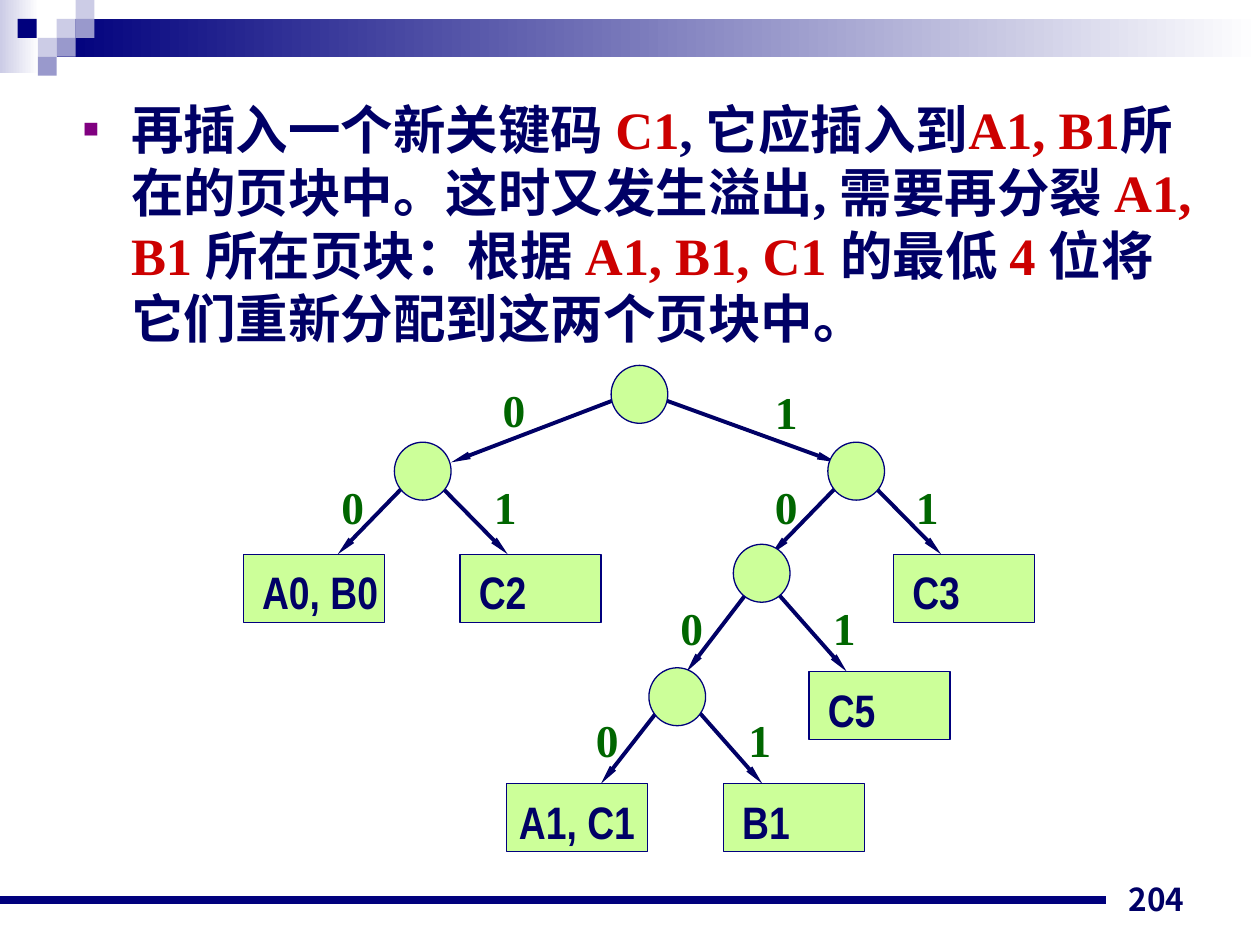
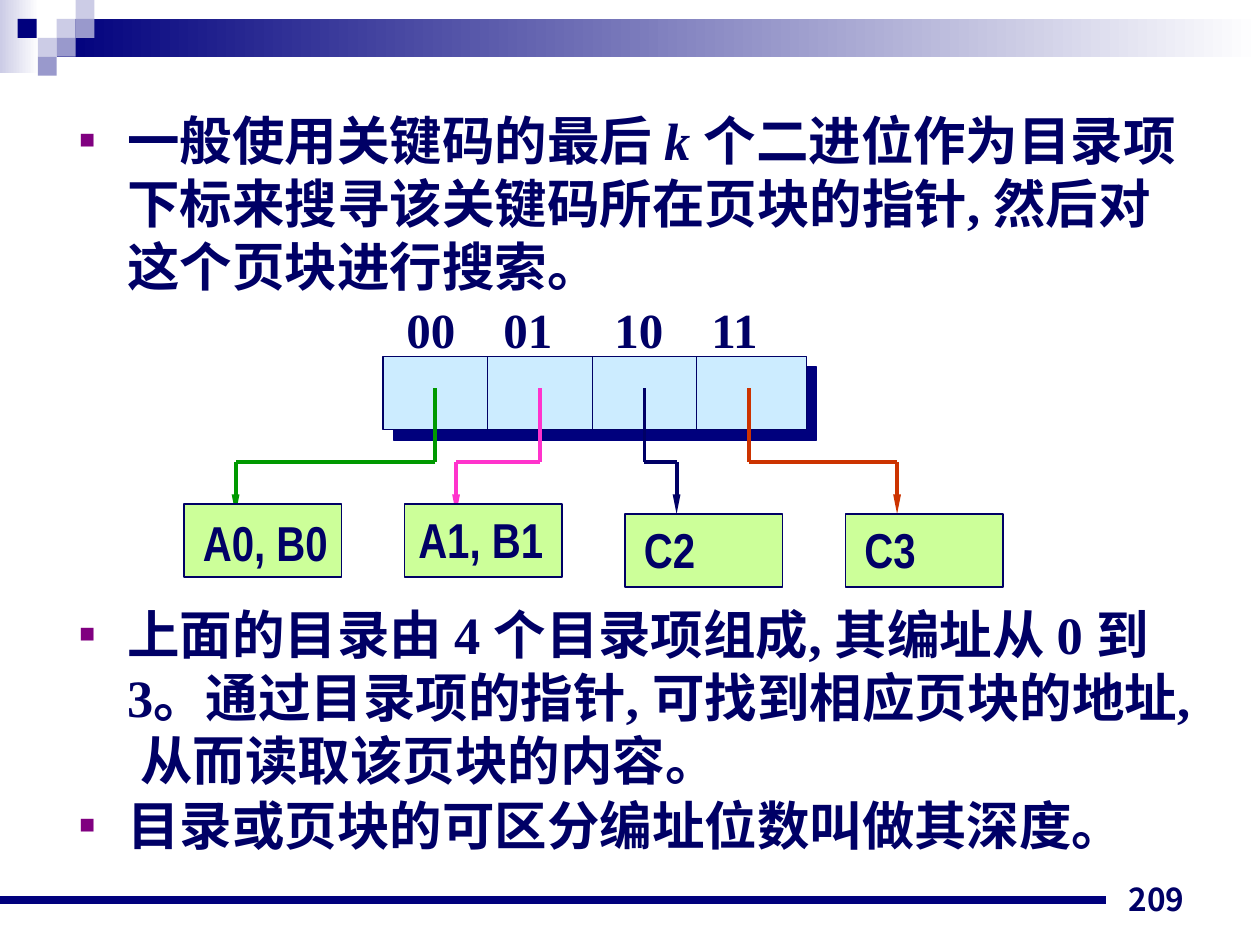
import lxml.etree
import pptx
import pptx.dml.color
import pptx.enum.shapes
import pptx.enum.text
import pptx.oxml.ns
import pptx.util

Inches = pptx.util.Inches
Pt = pptx.util.Pt
ALIGN = pptx.enum.text.PP_ALIGN
ANCHOR = pptx.enum.text.MSO_ANCHOR
SHAPE = pptx.enum.shapes.MSO_SHAPE

NAVY, INK, RED, GREEN = "00007D", "000066", "CC0000", "006600"
PALE, MIDDLE, WHITE = "CCCCE6", "9999CC", "FFFFFF"
LEAF, CELL, BULLET = "CCFF99", "CCECFF", "800080"
SERIF, NARROW, CJK = "Times New Roman", "Arial Narrow", "Noto Sans CJK JP"


def rgb(value):
    """Turn a hex string into a colour."""
    return pptx.dml.color.RGBColor.from_string(value)


def add_xml(parent, tag, **attributes):
    """Append a DrawingML element with the given attributes."""
    return lxml.etree.SubElement(parent, pptx.oxml.ns.qn(tag), attributes)


def write(paragraph, text, size=30, font=SERIF, color=INK, italic=False):
    """Append one bold formatted run to a paragraph."""
    run = paragraph.add_run()
    run.text = text
    run.font.size, run.font.bold, run.font.italic = Pt(size), True, italic
    run.font.color.rgb = rgb(color)
    run.font.name = font
    add_xml(run.font._element, "a:ea", typeface=CJK)


def add_label(slide, text, box, align=ALIGN.CENTER, anchor=ANCHOR.TOP, **style):
    """Add a one-line text box."""
    frame = slide.shapes.add_textbox(*map(Inches, box)).text_frame
    frame.word_wrap, frame.vertical_anchor = True, anchor
    frame.paragraphs[0].alignment = align
    write(frame.paragraphs[0], text, **style)


def add_box(slide, box, fill, line=None, kind=SHAPE.RECTANGLE):
    """Add a preset shape; two fill colours give a gradient from left to right."""
    shape = slide.shapes.add_shape(kind, *map(Inches, box))
    shape.shadow.inherit = False
    if isinstance(fill, tuple):
        shape.fill.gradient()
        shape.fill.gradient_angle = 0
        for stop, color in zip(shape.fill.gradient_stops, fill):
            stop.color.rgb = rgb(color)
    else:
        shape.fill.solid()
        shape.fill.fore_color.rgb = rgb(fill)
    if line:
        shape.line.color.rgb = rgb(line)
        shape.line.width = Pt(0.75)
    else:
        shape.line.fill.background()
    return shape


def add_line(slide, start, end, color=INK, width=2.25, arrow=False):
    """Add a straight line, with an arrowhead at its end if asked."""
    connector = slide.shapes.add_connector(
        pptx.enum.shapes.MSO_CONNECTOR.STRAIGHT, *map(Inches, (*start, *end)))
    connector.line.color.rgb = rgb(color)
    connector.line.width = Pt(width)
    if arrow:
        add_xml(connector.line._ln, "a:tailEnd", type="triangle", w="sm", len="lg")
    add_xml(connector._element.spPr, "a:effectLst")


def add_page(slide, text, box, line, size, indent=0.15, drop=0.08):
    """Add a page block with its keys at the left."""
    shape = add_box(slide, box, LEAF, line)
    frame = shape.text_frame
    frame.word_wrap, frame.vertical_anchor = True, ANCHOR.TOP
    frame.margin_left, frame.margin_top = Inches(indent), Inches(drop)
    frame.margin_right = frame.margin_bottom = 0
    frame.paragraphs[0].alignment = ALIGN.LEFT
    write(frame.paragraphs[0], text, size=size, font=NARROW)


def add_body(slide, box, items):
    """Fill the body placeholder with (space before, runs) bullet items."""
    body = slide.placeholders[1]
    body.left, body.top, body.width, body.height = map(Inches, box)
    frame = body.text_frame
    frame.auto_size = pptx.enum.text.MSO_AUTO_SIZE.NONE
    frame.vertical_anchor = ANCHOR.TOP
    frame.margin_top = Inches(0.09)
    for number, (space, runs) in enumerate(items):
        paragraph = frame.add_paragraph() if number else frame.paragraphs[0]
        paragraph.line_spacing, paragraph.space_before = Pt(36), Pt(space)
        properties = paragraph._p.get_or_add_pPr()
        properties.set("marL", str(Inches(0.38)))
        properties.set("indent", str(-Inches(0.38)))
        add_xml(add_xml(properties, "a:buClr"), "a:srgbClr", val=BULLET)
        add_xml(properties, "a:buSzPct", val="50000")
        add_xml(properties, "a:buFont", typeface=SERIF)
        add_xml(properties, "a:buChar", char="■")
        for text, style in runs:
            write(paragraph, text, **style)


def add_frame(presentation, number):
    """Add a slide with the top band, the mosaic, the bottom rule and its number."""
    slide = presentation.slides.add_slide(presentation.slide_layouts[1])
    title = slide.shapes.title._element
    title.getparent().remove(title)
    add_box(slide, (0, 0, 0.31, 0.58), (PALE, WHITE))
    add_box(slide, (0.45, 0.15, 9.55, 0.3), (NAVY, WHITE))
    mosaic = [(0.45, 0.15, PALE), (0.6, 0, PALE), (0.6, 0.15, MIDDLE), (0.3, 0.3, PALE),
              (0.14, 0.15, NAVY), (0.45, 0.3, MIDDLE), (0.3, 0.45, MIDDLE)]
    for left, top, color in mosaic:
        add_box(slide, (left, top, 0.15, 0.15), color)
    add_line(slide, (0, 7.14), (8.78, 7.14), NAVY, 4.5)
    add_label(slide, number, (7.17, 6.83, 2.33, 0.5), ALIGN.RIGHT, ANCHOR.BOTTOM,
              size=18, font=CJK)
    return slide


def add_branch(slide, left, top, ends, labels, start_drop=0.2):
    """Add a tree node with its 0 and 1 edges, given relative to the node."""
    for digit, end, label in zip("01", ends, labels):
        add_line(slide, (left + 0.22, top + start_drop),
                 (left + end[0], top + end[1]), arrow=True)
        add_label(slide, digit, (left + label[0], top + label[1], 0.38, 0.53),
                  size=26, color=GREEN)
    add_box(slide, (left, top, 0.45, 0.46), LEAF, NAVY, SHAPE.OVAL)


def add_tree(slide):
    """Draw the binary tree with its page blocks."""
    add_branch(slide, 4.85, 2.9, [(-1.27, 0.77), (1.79, 0.77)], [(-0.96, 0.08), (1.2, 0.1)])
    lower = [(3.13, 3.51, -0.45, 0.89, 0.69, 0.24, 0.2),
             (6.57, 3.51, -0.45, 0.89, 0.6, 0.24, 0.2),
             (5.82, 4.32, -0.37, 1.01, 0.69, 0.39, 0.24),
             (5.15, 5.3, -0.38, 0.92, 0.69, 0.3, 0.15)]
    for left, top, zero_end, depth, one_label, label_top, start_drop in lower:
        add_branch(slide, left, top, [(zero_end, depth), (0.9, depth)],
                   [(-0.52, label_top), (one_label, label_top)], start_drop)
    pages = [("A0, B0", 1.93, 4.4, 0.15), ("C2", 3.65, 4.4, 0.15), ("C3", 7.09, 4.4, 0.15),
             ("C5", 6.42, 5.33, 0.15), ("A1, C1", 4.02, 6.22, 0.1), ("B1", 5.74, 6.22, 0.15)]
    for keys, left, top, indent in pages:
        add_page(slide, keys, (left, top, 1.12, 0.54), NAVY, 26, indent)


def add_directory(slide, left, top):
    """Draw the directory, its pointers and the pages they lead to."""
    pitch, height, bend = 0.83, 0.58, top + 0.84
    directory = add_box(slide, (left, top, 3.36, height), CELL, INK)
    shadow = add_xml(directory._element.spPr.find(pptx.oxml.ns.qn("a:effectLst")),
                     "a:outerShdw", dist=str(Pt(8.5)), dir="2700000", algn="ctr",
                     rotWithShape="0")
    add_xml(shadow, "a:srgbClr", val=NAVY)
    for divider in range(1, 4):
        x = left + divider * pitch
        add_line(slide, (x, top), (x, top + height), width=0.75)
    entries = [("00", 0.38, "A0, B0", 1.17, 0.15, 0.07, "009900"),
               ("01", 1.15, "A1, B1", 1.17, 0.11, 0.04, "FF33CC"),
               ("10", 2.03, "C2", 1.25, 0.15, 0.04, INK),
               ("11", 2.79, "C3", 1.25, 0.15, 0.04, "CC3300")]
    for index, (bits, center, keys, drop, indent, inset, color) in enumerate(entries):
        add_label(slide, bits, (left + center - 0.35, top - 0.5, 0.7, 0.57), size=28)
        source = left + (index + 0.5) * pitch
        page = left - 1.58 + index * 1.75
        target = page + 0.41
        add_line(slide, (source, top + 0.25), (source, bend), color)
        add_line(slide, (source, bend), (target, bend), color)
        add_line(slide, (target, bend), (target, top + 1.25), color, arrow=True)
        add_page(slide, keys, (page, top + drop, 1.25, height), INK, 28, indent, inset)


def build_split_slide(presentation):
    """Build the slide on splitting a page block."""
    slide = add_frame(presentation, "204")
    key = {"color": RED}
    add_body(slide, (0.56, 0.68, 9.08, 2.83), [(0, [
        ("再插入一个新关键码 ", {}), ("C1", key), (", 它应插入到", {}), ("A1, B1", key),
        ("所在的页块中。这时又发生溢出, 需要再分裂 ", {}), ("A1, B1 ", key),
        ("所在页块：根据 ", {}), ("A1, B1, C1 ", key), ("的最低 ", {}), ("4 ", key),
        ("位将它们重新分配到这两个页块中。", {})])])
    add_tree(slide)


def build_directory_slide(presentation):
    """Build the slide on looking up pages through the directory."""
    slide = add_frame(presentation, "209")
    add_body(slide, (0.53, 0.77, 9, 6.24), [
        (0, [("一般使用关键码的最后 ", {}), ("k ", {"italic": True}),
             ("个二进位作为目录项下标来搜寻该关键码所在页块的指针, 然后对这个页块进行搜索。", {})]),
        (174, [("上面的目录由 4 个目录项组成, 其编址从 0 到 3。通过目录项的指针, "
                "可找到相应页块的地址, 从而读取该页块的内容。", {})]),
        (1.5, [("目录或页块的可区分编址位数叫做其深度。", {})])])
    add_directory(slide, 3.04, 2.83)


def main():
    """Build and save the presentation."""
    presentation = pptx.Presentation()
    presentation.slide_width, presentation.slide_height = Inches(10), Inches(7.5)
    build_split_slide(presentation)
    build_directory_slide(presentation)
    presentation.save("out.pptx")


if __name__ == "__main__":
    main()
